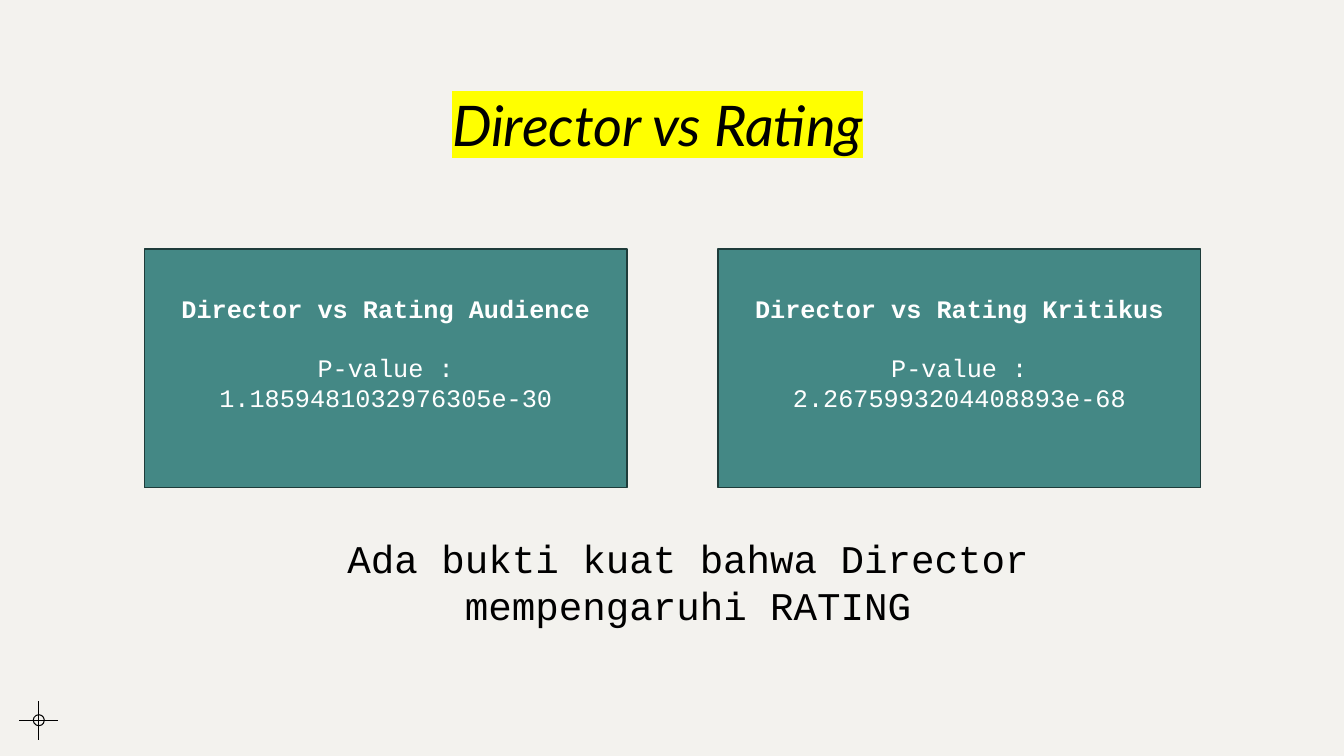
from lxml import etree
from pptx import Presentation
from pptx import util as u
from pptx.dml.color import RGBColor
from pptx.enum import shapes, text
from pptx.oxml import ns

WIDE, HIGH = u.Inches(13.33), u.Inches(7.5)
INK = {"paper": "F3F2EE", "black": "000000", "white": "FFFFFF",
       "teal": "448885", "edge": "1E3C3A", "mark": "FFFF00"}
MONO = "Courier New"
CARDS = [("Director vs Rating Audience", "P-value : 1.1859481032976305e-30"),
         ("Director vs Rating Kritikus", "P-value : 2.2675993204408893e-68")]


def tint(name):
    return RGBColor.from_string(INK[name])


def area(x, y, w, h):
    """Turn percent shares of the slide into lengths."""
    return [round(part * side / 100)
            for part, side in zip((x, y, w, h), (WIDE, HIGH, WIDE, HIGH))]


def style(para, face, size, color, bold=False, slant=False):
    para.alignment = text.PP_ALIGN.CENTER
    for run in para.runs:
        font = run.font
        font.name, font.size = face, u.Pt(size)
        font.bold, font.italic = bold, slant
        font.color.rgb = tint(color)


def outline(shape, color, size):
    shape.line.color.rgb = tint(color)
    shape.line.width = u.Pt(size)


def add_title(slide, words):
    title = slide.shapes.title
    title.left, title.top, title.width, title.height = area(9.98, -1.6, 77.87, 23.07)
    frame = title.text_frame
    frame.text = words
    frame.vertical_anchor = text.MSO_ANCHOR.BOTTOM
    para = frame.paragraphs[0]
    para.line_spacing = 1.2
    style(para, "Lato", 40, "black", slant=True)
    fill = para.runs[0].font._element.find(ns.qn("a:solidFill"))
    glow = etree.Element(ns.qn("a:highlight"))
    etree.SubElement(glow, ns.qn("a:srgbClr"), val=INK["mark"])
    fill.addnext(glow)


def add_card(slide, left, head, value):
    card = slide.shapes.add_shape(shapes.MSO_SHAPE.RECTANGLE,
                                  *area(left, 32.93, 35.93, 31.6))
    card.shadow.inherit = False
    card.fill.solid()
    card.fill.fore_color.rgb = tint("teal")
    outline(card, "edge", 1)
    frame = card.text_frame
    frame.word_wrap = True
    frame.vertical_anchor = text.MSO_ANCHOR.MIDDLE
    frame.margin_bottom = u.Inches(0.35)
    frame.text = f"{head}\n{value}"
    top, low = frame.paragraphs
    style(top, MONO, 18, "white", bold=True)
    style(low, MONO, 18, "white")
    low.space_before = u.Pt(20.4)


def add_note(slide, words):
    note = slide.shapes.add_textbox(*area(20.93, 70, 60.54, 13.87))
    frame = note.text_frame
    frame.word_wrap = True
    frame.text = words
    style(frame.paragraphs[0], MONO, 28, "black")


def add_line(group, *ends):
    line = group.shapes.add_connector(shapes.MSO_CONNECTOR.STRAIGHT, *ends)
    outline(line, "black", 0.75)
    etree.SubElement(line._element.spPr, ns.qn("a:effectLst"))


def add_cross(slide):
    group = slide.shapes.add_group_shape()
    x, y, arm, ring = area(2.89, 95.27, 1.46, 0.73)
    add_line(group, x - arm, y, x + arm, y)
    add_line(group, x, y + arm, x, y - arm)
    disc = group.shapes.add_shape(shapes.MSO_SHAPE.OVAL, x - ring, y - ring,
                                  2 * ring, 2 * ring)
    disc.shadow.inherit = False
    disc.fill.background()
    outline(disc, "black", 0.75)


def main():
    deck = Presentation()
    deck.slide_width, deck.slide_height = WIDE, HIGH
    slide = deck.slides.add_slide(deck.slide_layouts[5])
    back = slide.background.fill
    back.solid()
    back.fore_color.rgb = tint("paper")
    add_cross(slide)
    add_title(slide, "Director vs Rating")
    add_note(slide, "Ada bukti kuat bahwa Director mempengaruhi RATING")
    for col, (head, value) in enumerate(CARDS):
        add_card(slide, 10.73 + 42.68 * col, head, value)
    deck.save("out.pptx")


if __name__ == "__main__":
    main()
